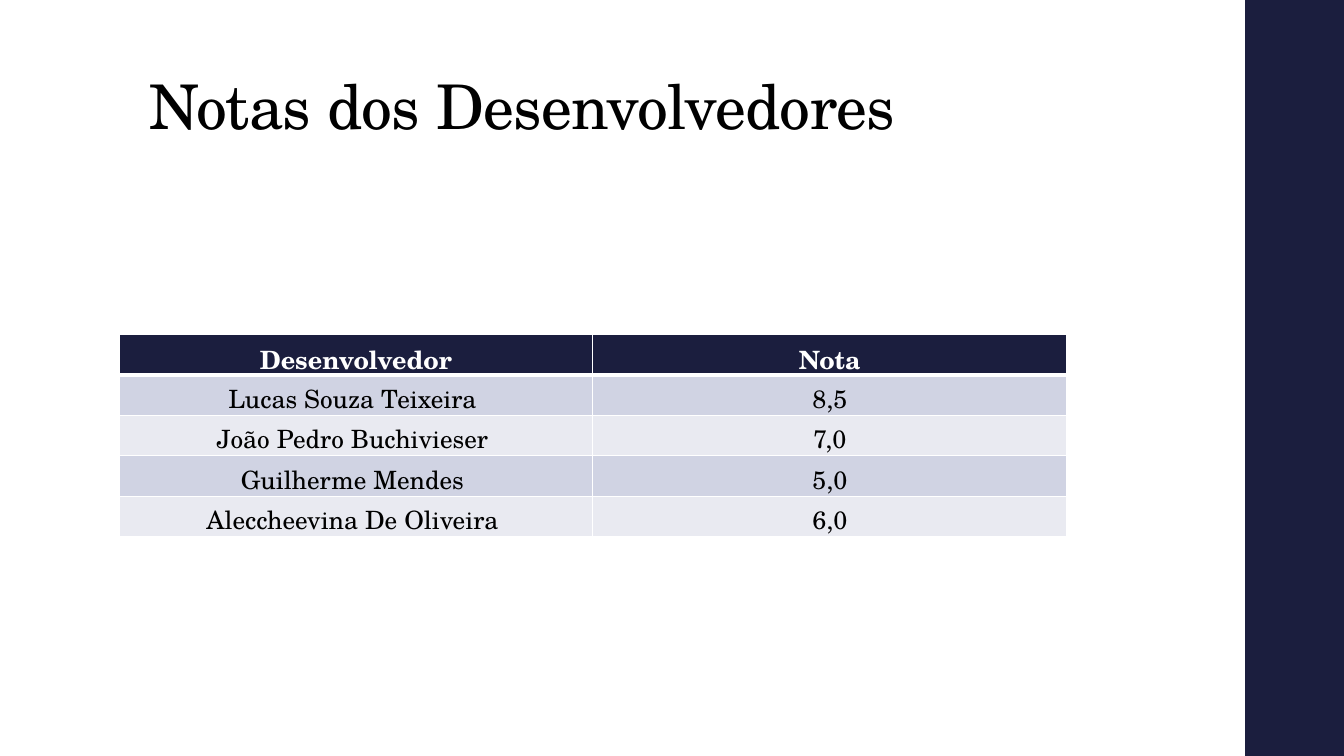
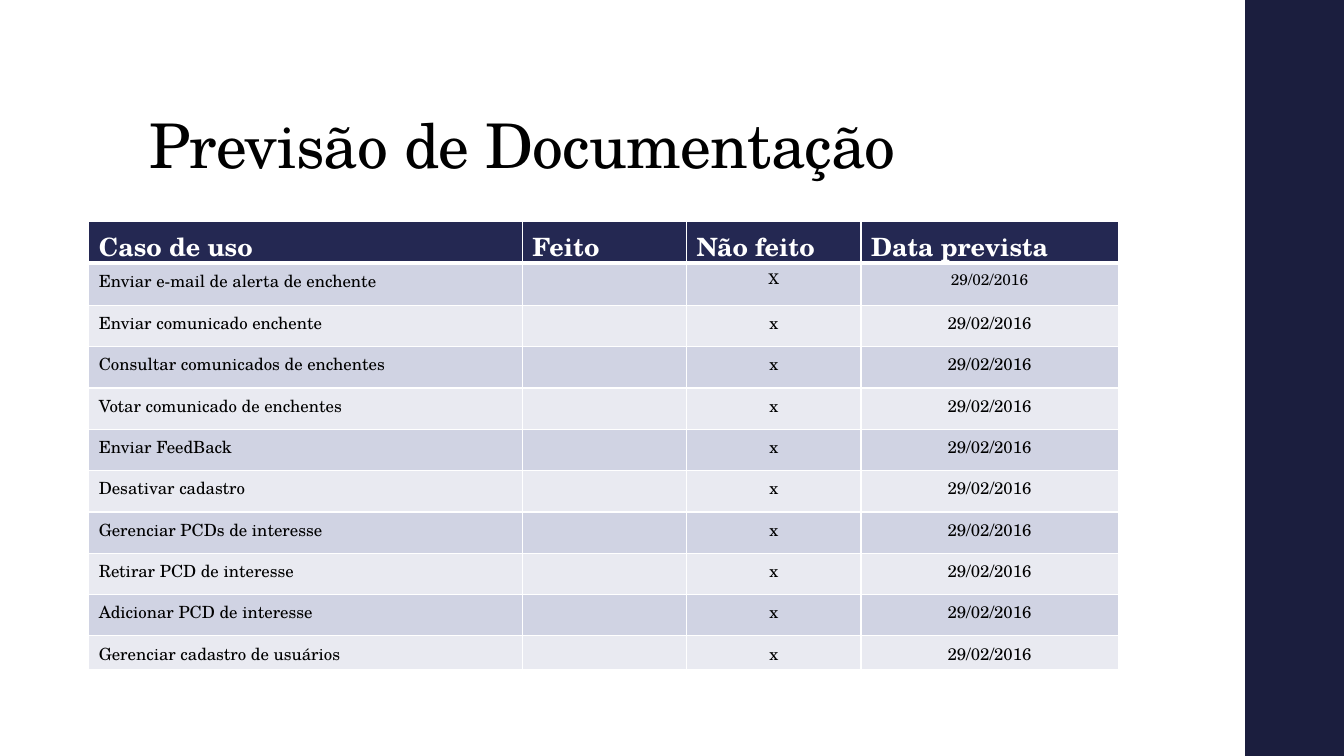
from dataclasses import dataclass

from lxml import etree
from pptx import Presentation
from pptx.dml.color import RGBColor
from pptx.enum.shapes import MSO_SHAPE
from pptx.enum.text import MSO_ANCHOR, PP_ALIGN
from pptx.oxml.ns import qn
from pptx.util import Inches, Pt

RECTANGLE = MSO_SHAPE.RECTANGLE
BOTTOM = MSO_ANCHOR.BOTTOM
LEFT, CENTER = PP_ALIGN.LEFT, PP_ALIGN.CENTER


@dataclass(frozen=True)
class Theme:
    font: str = "TeX Gyre Schola"
    navy: str = "1B1E3E"
    indigo: str = "242852"
    stripes: tuple = ("D0D3E3", "E9EAF1")
    white: str = "FFFFFF"
    black: str = "000000"
    title: float = 44
    table: float = 18
    detail: float = 12
    grid: float = 1
    header_rule: float = 3


THEME = Theme()


def write_text(frame, text, *, size, color=THEME.black, bold=False,
               align=LEFT, line_spacing=None, tracking=None):
    paragraph = frame.paragraphs[0]
    paragraph.alignment = align
    if line_spacing:
        paragraph.line_spacing = line_spacing
    if not text:
        # An empty cell still needs its size, or it stretches the row
        etree.SubElement(paragraph._p, qn("a:endParaRPr"), sz=str(int(size * 100)))
        return
    run = paragraph.add_run()
    run.text = text
    run.font.name = THEME.font
    run.font.size = Pt(size)
    run.font.bold = bold
    run.font.color.rgb = RGBColor.from_string(color)
    if tracking:
        run.font._element.set("spc", str(int(tracking * 100)))


def style_cell(cell, fill, top, bottom):
    properties = cell._tc.get_or_add_tcPr()
    widths = {"lnL": THEME.grid, "lnR": THEME.grid, "lnT": top, "lnB": bottom}
    for side, width in widths.items():
        line = etree.SubElement(properties, qn(f"a:{side}"), w=str(Pt(width)))
        solid = etree.SubElement(line, qn("a:solidFill"))
        etree.SubElement(solid, qn("a:srgbClr"), val=THEME.white)
    cell.fill.solid()
    cell.fill.fore_color.rgb = RGBColor.from_string(fill)


# Content
grades = [
    ("Lucas Souza Teixeira ", "8,5"),
    ("João Pedro Buchivieser ", "7,0"),
    ("Guilherme Mendes ", "5,0"),
    ("Aleccheevina De Oliveira ", "6,0"),
]
use_cases = [
    "Enviar e-mail de alerta de enchente",
    "Enviar comunicado enchente",
    "Consultar comunicados de enchentes",
    "Votar comunicado de enchentes",
    "Enviar FeedBack",
    "Desativar cadastro",
    "Gerenciar PCDs de interesse",
    "Retirar PCD de interesse",
    "Adicionar PCD de interesse",
    "Gerenciar cadastro de usuários",
]
due_date = "29/02/2016"
forecast = [(case, "", "x" if number else "X", due_date)
            for number, case in enumerate(use_cases)]

pages = [
    dict(title="Notas dos Desenvolvedores", title_top=0.45, title_height=1.02,
         header=("Desenvolvedor", "Nota"), rows=grades,
         left=1.18, top=3.32, columns=(4.7, 4.7), heights=[0.4] * 5,
         header_fill=THEME.navy, header_align=CENTER,
         body_size=THEME.table, aligns=(CENTER, CENTER), sizes={}),
    dict(title="Previsão de Documentação", title_top=0.4, title_height=1.45,
         header=("Caso de uso", "Feito", "Não feito", "Data prevista"), rows=forecast,
         left=0.88, top=2.2, columns=(4.3, 1.63, 1.73, 2.55),
         heights=[0.41, 0.42] + [0.41] * 8 + [0.33],
         header_fill=THEME.indigo, header_align=LEFT,
         body_size=THEME.detail, aligns=(LEFT, LEFT, CENTER, CENTER),
         sizes={(1, 2): 10.5, (1, 3): 11}),
]

presentation = Presentation()
presentation.slide_width = Inches(13.33)
presentation.slide_height = Inches(7.5)

for page in pages:
    slide = presentation.slides.add_slide(presentation.slide_layouts[6])

    # Side band
    band = slide.shapes.add_shape(RECTANGLE, Inches(12.35), 0, Inches(1), Inches(7.5))
    band.shadow.inherit = False
    band.fill.solid()
    band.fill.fore_color.rgb = RGBColor.from_string(THEME.navy)
    band.line.fill.background()

    # Title
    title = slide.shapes.add_textbox(Inches(1.38), Inches(page["title_top"]),
                                     Inches(10.6), Inches(page["title_height"]))
    title.text_frame.word_wrap = True
    title.text_frame.vertical_anchor = BOTTOM
    write_text(title.text_frame, page["title"], size=THEME.title,
               line_spacing=0.9, tracking=-0.5)

    # Table
    columns, heights = page["columns"], page["heights"]
    table = slide.shapes.add_table(
        len(heights), len(columns), Inches(page["left"]), Inches(page["top"]),
        Inches(sum(columns)), Inches(sum(heights))).table
    for column, width in zip(table.columns, columns):
        column.width = Inches(width)
    for row, height in zip(table.rows, heights):
        row.height = Inches(height)

    for r, texts in enumerate([page["header"]] + page["rows"]):
        is_header = r == 0
        fill = page["header_fill"] if is_header else THEME.stripes[(r - 1) % 2]
        top = THEME.header_rule if r == 1 else THEME.grid
        bottom = THEME.header_rule if is_header else THEME.grid
        for c, text in enumerate(texts):
            cell = table.cell(r, c)
            style_cell(cell, fill, top, bottom)
            if is_header:
                write_text(cell.text_frame, text, size=THEME.table, bold=True,
                           color=THEME.white, align=page["header_align"])
            else:
                write_text(cell.text_frame, text, align=page["aligns"][c],
                           size=page["sizes"].get((r, c), page["body_size"]))

presentation.save("out.pptx")
